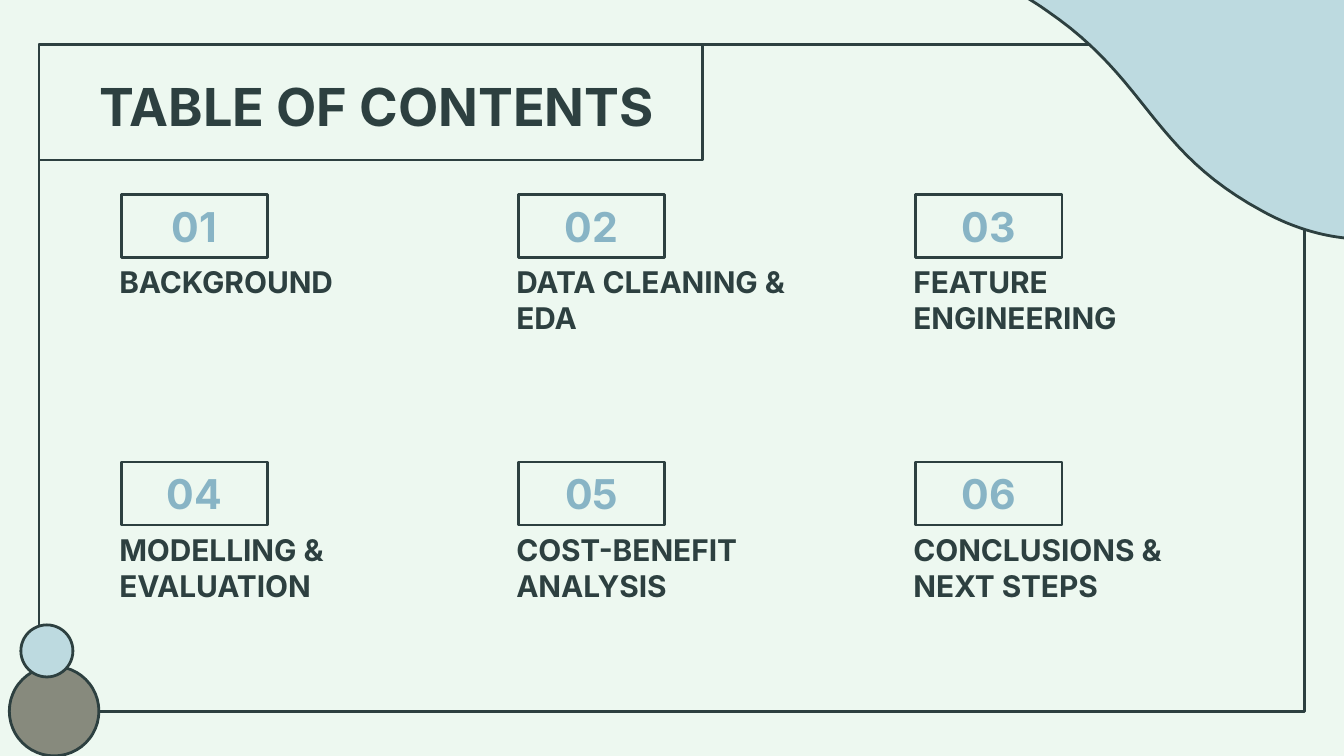
"""Build the table of contents slide."""
from dataclasses import dataclass

from pptx import Presentation
from pptx.dml.color import RGBColor
from pptx.enum.shapes import MSO_SHAPE
from pptx.enum.text import MSO_ANCHOR, MSO_AUTO_SIZE, PP_ALIGN
from pptx.shapes.base import BaseShape
from pptx.slide import Slide
from pptx.util import Pt

RECTANGLE, OVAL = MSO_SHAPE.RECTANGLE, MSO_SHAPE.OVAL
TOP, MIDDLE = MSO_ANCHOR.TOP, MSO_ANCHOR.MIDDLE
LEFT, CENTER = PP_ALIGN.LEFT, PP_ALIGN.CENTER
NO_FIT = MSO_AUTO_SIZE.NONE

MINT = RGBColor(0xED, 0xF8, 0xF0)
INK = RGBColor(0x2D, 0x40, 0x40)
PALE_BLUE = RGBColor(0xBD, 0xDA, 0xE0)
BLUE = RGBColor(0x88, 0xB4, 0xC5)
STONE = RGBColor(0x87, 0x8A, 0x7D)

FONT = "Inter"
COLUMNS = 3
COLUMN_STEP, ROW_STEP = 212.7, 143.3
CURVE_STEPS = 24

Point = tuple[float, float]


@dataclass(frozen=True)
class Area:
    """A rectangle in points."""

    left: float
    top: float
    width: float
    height: float

    def shifted(self, right: float, down: float) -> "Area":
        """Return the same rectangle moved by an offset."""
        return Area(self.left + right, self.top + down, self.width, self.height)

    def lengths(self) -> list[Pt]:
        """Return position and size as lengths."""
        return [Pt(value) for value in (self.left, self.top, self.width, self.height)]


@dataclass(frozen=True)
class Section:
    """One numbered entry of the contents."""

    number: str
    name: str


FRAME = Area(20.9, 23.8, 678.2, 357.2)
HEADING = Area(20.9, 23.8, 355.7, 61.9)
NUMBER = Area(64.9, 104.2, 78.6, 33.8)
LABEL = Area(56.8, 141.5, 185.8, 38.6)
LARGE_CIRCLE = Area(5, 357, 48, 48)
SMALL_CIRCLE = Area(11.2, 334.8, 27.9, 27.9)

SECTIONS = [
    Section("01", "BACKGROUND"),
    Section("02", "DATA CLEANING & EDA"),
    Section("03", "FEATURE ENGINEERING"),
    Section("04", "MODELLING &\nEVALUATION"),
    Section("05", "COST-BENEFIT ANALYSIS"),
    Section("06", "CONCLUSIONS & NEXT STEPS"),
]

BLOB_CORNERS: list[Point] = [(721.4, -146.2), (457.2, -97.9), (473, -12.2)]
BLOB_CURVES: list[tuple[Point, Point, Point]] = [
    ((473, -12.2), (481.7, -17.3), (497.5, -17.3)),
    ((512.6, -17.3), (534.2, -13), (560.9, 5.8)),
    ((615.6, 43.2), (616.3, 80.6), (676.1, 113)),
    ((697, 124.6), (716.4, 128.2), (732.2, 128.2)),
    ((757.4, 128.2), (774, 118.1), (774, 118.1)),
]


def outline(shape: BaseShape, fill: RGBColor | None = None) -> None:
    """Give a shape the dark outline and an optional fill."""
    if fill is None:
        shape.fill.background()
    else:
        shape.fill.solid()
        shape.fill.fore_color.rgb = fill
    shape.line.color.rgb = INK
    shape.line.width = Pt(1.5)


def add_outlined(page: Slide, kind: MSO_SHAPE, area: Area,
                 fill: RGBColor | None = None) -> BaseShape:
    """Draw an outlined preset shape."""
    shape = page.shapes.add_shape(kind, *area.lengths())
    shape.shadow.inherit = False
    outline(shape, fill)
    return shape


def write(box: BaseShape, text: str, *, size: float, color: RGBColor = INK,
          align: PP_ALIGN = LEFT, anchor: MSO_ANCHOR = MIDDLE,
          inset_left: float = 7.2, inset_top: float = 7.2,
          inset_bottom: float = 7.2) -> None:
    """Write bold text into a box, one paragraph per line."""
    frame = box.text_frame
    frame.text = text
    frame.word_wrap = True
    frame.auto_size = NO_FIT
    frame.vertical_anchor = anchor
    frame.margin_left, frame.margin_right = Pt(inset_left), Pt(7.2)
    frame.margin_top, frame.margin_bottom = Pt(inset_top), Pt(inset_bottom)
    for para in frame.paragraphs:
        para.alignment = align
        for span in para.runs:
            span.font.name = FONT
            span.font.size = Pt(size)
            span.font.bold = True
            span.font.color.rgb = color


def curve_points(start: Point, first: Point, second: Point, end: Point) -> list[Point]:
    """Return points along a cubic curve, without its start."""
    points = []
    for step in range(1, CURVE_STEPS + 1):
        t = step / CURVE_STEPS
        weights = ((1 - t) ** 3, 3 * t * (1 - t) ** 2, 3 * t * t * (1 - t), t ** 3)
        x, y = (sum(weight * value for weight, value in zip(weights, values))
                for values in zip(start, first, second, end))
        points.append((x, y))
    return points


def add_blob(page: Slide) -> None:
    """Draw the wavy shape in the top right corner."""
    points = list(BLOB_CORNERS)
    for first, second, end in BLOB_CURVES:
        points += curve_points(points[-1], first, second, end)
    start, *others = [(Pt(x), Pt(y)) for x, y in points]
    builder = page.shapes.build_freeform(*start)
    builder.add_line_segments(others, close=True)
    blob = builder.convert_to_shape()
    blob.shadow.inherit = False
    outline(blob, PALE_BLUE)


def add_section(page: Slide, section: Section, right: float, down: float) -> None:
    """Draw a numbered box with the section name below it."""
    number = add_outlined(page, RECTANGLE, NUMBER.shifted(right, down))
    write(number, section.number, size=22, color=BLUE, align=CENTER)
    label = page.shapes.add_textbox(*LABEL.shifted(right, down).lengths())
    write(label, section.name, size=16, anchor=TOP, inset_top=0, inset_bottom=0)


def add_heading(page: Slide) -> None:
    """Place and format the slide title."""
    title = page.shapes.title
    title.left, title.top, title.width, title.height = HEADING.lengths()
    outline(title)
    write(title, "TABLE OF CONTENTS", size=28, inset_left=32.4, inset_bottom=3.6)


def main() -> None:
    """Create and save the deck."""
    deck = Presentation()
    deck.slide_width, deck.slide_height = Pt(720), Pt(405)
    page = deck.slides.add_slide(deck.slide_layouts.get_by_name("Title Only"))
    page.background.fill.solid()
    page.background.fill.fore_color.rgb = MINT

    add_heading(page)
    add_outlined(page, RECTANGLE, FRAME)
    add_blob(page)
    add_outlined(page, OVAL, LARGE_CIRCLE, STONE)
    add_outlined(page, OVAL, SMALL_CIRCLE, PALE_BLUE)
    for index, section in enumerate(SECTIONS):
        row, column = divmod(index, COLUMNS)
        add_section(page, section, column * COLUMN_STEP, row * ROW_STEP)

    deck.save("out.pptx")


if __name__ == "__main__":
    main()
